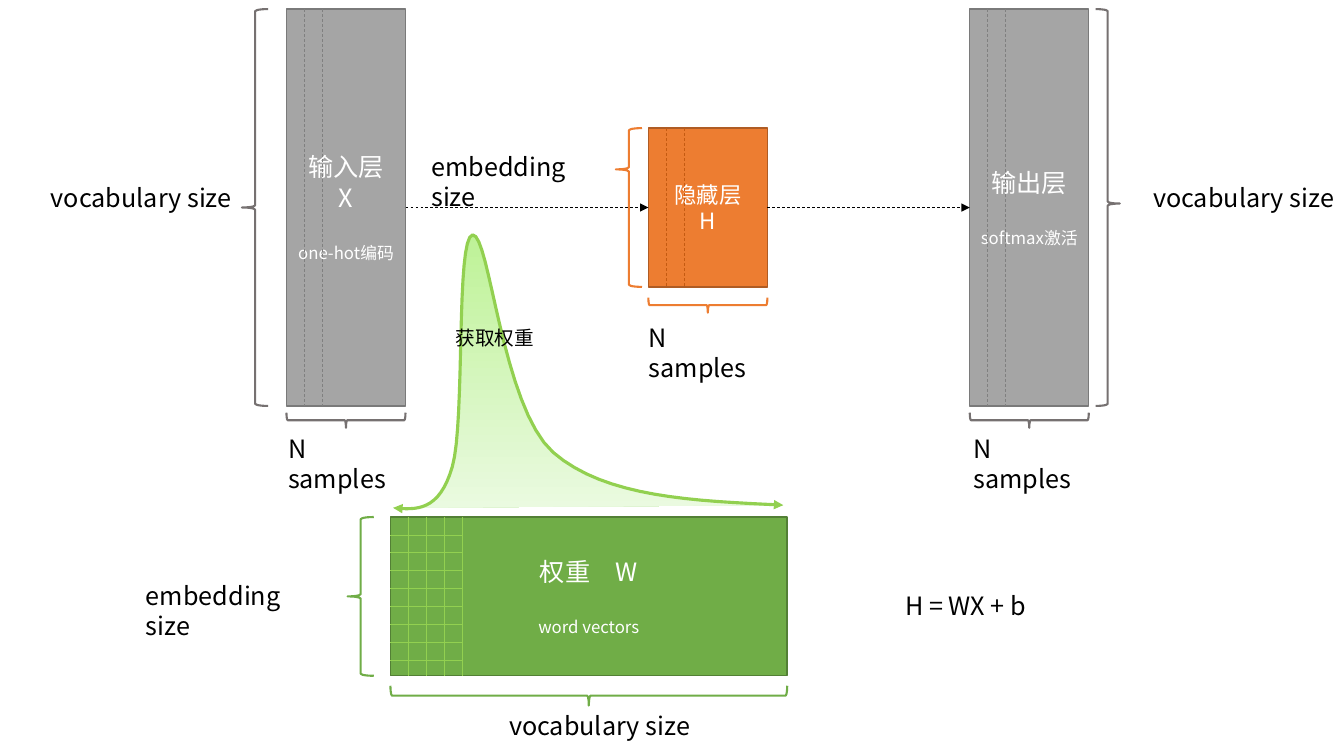
from dataclasses import dataclass

from lxml import etree
from pptx import Presentation
from pptx.dml.color import RGBColor
from pptx.enum.dml import MSO_LINE_DASH_STYLE as Dash
from pptx.enum.shapes import MSO_CONNECTOR as Connector, MSO_SHAPE as Shape
from pptx.enum.text import MSO_ANCHOR as Anchor, MSO_AUTO_SIZE as AutoSize, PP_ALIGN as Align
from pptx.oxml.ns import qn
from pptx.util import Cm, Pt

BLACK = RGBColor(0x00, 0x00, 0x00)
WHITE = RGBColor(0xFF, 0xFF, 0xFF)
GRAY = RGBColor(0xA5, 0xA5, 0xA5)
GRAY_EDGE = RGBColor(0x7A, 0x7A, 0x7A)
GRAY_BRACE = RGBColor(0x76, 0x71, 0x71)
GRAY_STRIPE = RGBColor(0x80, 0x80, 0x80)
ORANGE = RGBColor(0xED, 0x7D, 0x31)
ORANGE_EDGE = RGBColor(0xAF, 0x5C, 0x24)
ORANGE_STRIPE = RGBColor(0xC5, 0x5A, 0x11)
GREEN = RGBColor(0x70, 0xAD, 0x47)
GREEN_EDGE = RGBColor(0x53, 0x80, 0x35)
LIME = RGBColor(0x92, 0xD0, 0x50)
LIME_TOP = RGBColor(0xBE, 0xF2, 0x97)
LIME_BOTTOM = RGBColor(0xEA, 0xFA, 0xE0)

FONT = "Noto Sans CJK SC"
CELL = 0.45  # spacing of stripes and grid lines, in cm


@dataclass
class Block:
    """Rectangle of a matrix, in centimetres."""
    left: float
    top: float
    width: float
    height: float

    @property
    def right(self):
        """Right edge."""
        return self.left + self.width

    @property
    def bottom(self):
        """Bottom edge."""
        return self.top + self.height

    @property
    def middle(self):
        """Vertical centre."""
        return self.top + self.height / 2


def bezier(start, control_1, control_2, end, steps=16):
    """Return the points of a cubic curve after its start."""
    points = []
    for step in range(1, steps + 1):
        t = step / steps
        weights = ((1 - t) ** 3, 3 * t * (1 - t) ** 2, 3 * t * t * (1 - t), t ** 3)
        corners = (start, control_1, control_2, end)
        points.append(tuple(Cm(sum(w * c[axis] for w, c in zip(weights, corners)))
                            for axis in (0, 1)))
    return points


class Diagram:
    """Style and current slide, with one method per kind of element."""

    def __init__(self, slide, font):
        """Keep the slide and its font."""
        self.shapes = slide.shapes
        self.font = font

    def format_text(self, shape, paragraph, size, color):
        """Apply font, size and colour to the runs of a paragraph."""
        for run in paragraph.runs:
            run.font.size = Pt(size)
            run.font.name = self.font
            run.font.color.rgb = color
        for properties in shape.element.iter(qn("a:rPr")):
            if properties.find(qn("a:ea")) is None:
                etree.SubElement(properties, qn("a:ea"), typeface=self.font)

    def add_arrowheads(self, shape, *ends):
        """Put triangles on the given line ends."""
        line = shape.element.spPr.find(qn("a:ln"))
        for end in ends:
            etree.SubElement(line, qn("a:" + end), type="triangle")

    def add_block(self, block, fill, edge, lines, size=18, caption=None):
        """Draw a matrix with its title lines and a small caption."""
        shape = self.shapes.add_shape(Shape.RECTANGLE, Cm(block.left), Cm(block.top),
                                      Cm(block.width), Cm(block.height))
        shape.shadow.inherit = False
        shape.fill.solid()
        shape.fill.fore_color.rgb = fill
        shape.line.color.rgb = edge
        shape.line.width = Pt(1)
        frame = shape.text_frame
        frame.vertical_anchor = Anchor.MIDDLE
        frame.text = "\n".join(lines + ([caption] if caption else []))
        for paragraph in frame.paragraphs:
            paragraph.alignment = Align.CENTER
            self.format_text(shape, paragraph, size, WHITE)
        if caption:
            paragraph = frame.paragraphs[-1]
            paragraph.space_before = Pt(22)
            self.format_text(shape, paragraph, 12, WHITE)

    def add_brace(self, left, top, width, height, color, kind=Shape.LEFT_BRACE, point=0.5):
        """Draw a brace, its tip at a share of its height."""
        shape = self.shapes.add_shape(kind, Cm(left), Cm(top), Cm(width), Cm(height))
        shape.shadow.inherit = False
        shape.fill.background()
        shape.line.color.rgb = color
        shape.line.width = Pt(1.5)
        shape.adjustments[1] = point
        return shape

    def add_brace_below(self, block, gap, depth, color):
        """Draw a brace under a block, pointing down."""
        left = block.left + (block.width - depth) / 2
        top = block.bottom + gap + (depth - block.width) / 2
        self.add_brace(left, top, depth, block.width, color).rotation = 270

    def add_label(self, text, left, top, width, height=1.03, size=18):
        """Write a label in a text box."""
        box = self.shapes.add_textbox(Cm(left), Cm(top), Cm(width), Cm(height))
        frame = box.text_frame
        frame.text = text
        frame.word_wrap = True
        frame.auto_size = AutoSize.SHAPE_TO_FIT_TEXT
        self.format_text(box, frame.paragraphs[0], size, BLACK)
        return box

    def add_turned_label(self, text, left, top):
        """Write a label in a vertical box turned back to horizontal."""
        box = self.add_label(text, left, top, 1.27, 4.45)
        box.text_frame.word_wrap = False
        box.rotation = 270
        box.element.txBody.find(qn("a:bodyPr")).set("vert", "eaVert")

    def add_line(self, start, end, color, dashed=True):
        """Draw a thin straight line."""
        line = self.shapes.add_connector(Connector.STRAIGHT, *map(Cm, start + end))
        line.line.color.rgb = color
        line.line.width = Pt(0.5)
        if dashed:
            line.line.dash_style = Dash.DASH
        etree.SubElement(line.element.spPr, qn("a:effectLst"))
        return line

    def add_columns(self, block, count, color, dashed=True):
        """Draw vertical lines at the left of a block."""
        for number in range(1, count + 1):
            x = block.left + number * CELL
            self.add_line((x, block.top), (x, block.bottom), color, dashed)

    def add_rows(self, block, count, width, color):
        """Draw horizontal lines at the left of a block."""
        for number in range(1, count + 1):
            y = block.top + number * CELL
            self.add_line((block.left, y), (block.left + width, y), color, False)

    def add_curve(self, start, segments):
        """Draw a shaded curve with an arrowhead at both ends."""
        builder = self.shapes.build_freeform(Cm(start[0]), Cm(start[1]))
        for segment in segments:
            builder.add_line_segments(bezier(start, *segment), close=False)
            start = segment[-1]
        curve = builder.convert_to_shape()
        curve.shadow.inherit = False
        curve.fill.gradient()
        curve.fill.gradient_angle = 270
        for stop, color in zip(curve.fill.gradient_stops, (LIME_TOP, LIME_BOTTOM)):
            stop.color.rgb = color
        curve.line.color.rgb = LIME
        curve.line.width = Pt(2.25)
        self.add_arrowheads(curve, "headEnd", "tailEnd")


presentation = Presentation()
presentation.slide_width, presentation.slide_height = Cm(33.87), Cm(19.05)
diagram = Diagram(presentation.slides.add_slide(presentation.slide_layouts[6]), FONT)

input_layer = Block(7.22, 0.23, 3, 10)
hidden_layer = Block(16.34, 3.23, 3, 4)
output_layer = Block(24.44, 0.23, 3, 10)
weights_block = Block(9.84, 13.03, 10, 4)

diagram.add_block(input_layer, GRAY, GRAY_EDGE, ["输入层", "X"], caption="one-hot编码")
diagram.add_block(hidden_layer, ORANGE, ORANGE_EDGE, ["隐藏层", "H"], size=16)
diagram.add_block(output_layer, GRAY, GRAY_EDGE, ["输出层"], caption="softmax激活")
diagram.add_block(weights_block, GREEN, GREEN_EDGE, ["权重\u3000W"], caption="word vectors")

diagram.add_brace(6.1, input_layer.top, 0.66, 10, GRAY_BRACE)
diagram.add_brace(27.61, output_layer.top, 0.61, 10, GRAY_BRACE, Shape.RIGHT_BRACE, 0.49)
diagram.add_brace(15.52, hidden_layer.top, 0.66, 4, ORANGE, point=0.26)
diagram.add_brace(8.76, weights_block.top, 0.66, 4, GREEN)
for block, gap, depth, color in ((input_layer, 0.17, 0.38, GRAY_BRACE),
                                 (output_layer, 0.17, 0.38, GRAY_BRACE),
                                 (hidden_layer, 0.27, 0.38, ORANGE),
                                 (weights_block, 0.25, 0.5, GREEN)):
    diagram.add_brace_below(block, gap, depth, color)

for left, top in ((2.62, 2.87), (14.17, 16.18), (30.4, 2.87)):
    diagram.add_turned_label("vocabulary size", left, top)
for left, top in ((10.62, 3.68), (3.43, 14.5)):
    diagram.add_label("embedding size", left, top, 4.88)
for left, top in ((7.01, 10.8), (16.1, 8), (24.28, 10.8)):
    diagram.add_label("N samples", left, top, 3.38)

for source, target in ((input_layer, hidden_layer), (hidden_layer, output_layer)):
    arrow = diagram.add_line((source.right, source.middle), (target.left, target.middle), BLACK)
    diagram.add_arrowheads(arrow, "tailEnd")

diagram.add_curve((9.91, 12.8), (
    ((10.49, 12.85), (11.07, 12.9), (11.4, 11.76)),
    ((11.73, 10.62), (11.48, 5.99), (11.91, 5.92)),
    ((12.34, 5.87), (12.65, 10.26), (13.94, 11.4)),
    ((15.27, 12.55), (17.5, 12.62), (19.74, 12.73))))

for block, color in ((input_layer, GRAY_STRIPE), (output_layer, GRAY_STRIPE),
                     (hidden_layer, ORANGE_STRIPE)):
    diagram.add_columns(block, 2, color)
diagram.add_columns(weights_block, 4, LIME, dashed=False)
diagram.add_rows(weights_block, 8, 4 * CELL, LIME)

diagram.add_label("H = WX + b", 22.56, 14.76, 3.84)
diagram.add_label("获取权重", 11.23, 8.1, 2.51, 0.86, size=14)

presentation.save("out.pptx")
